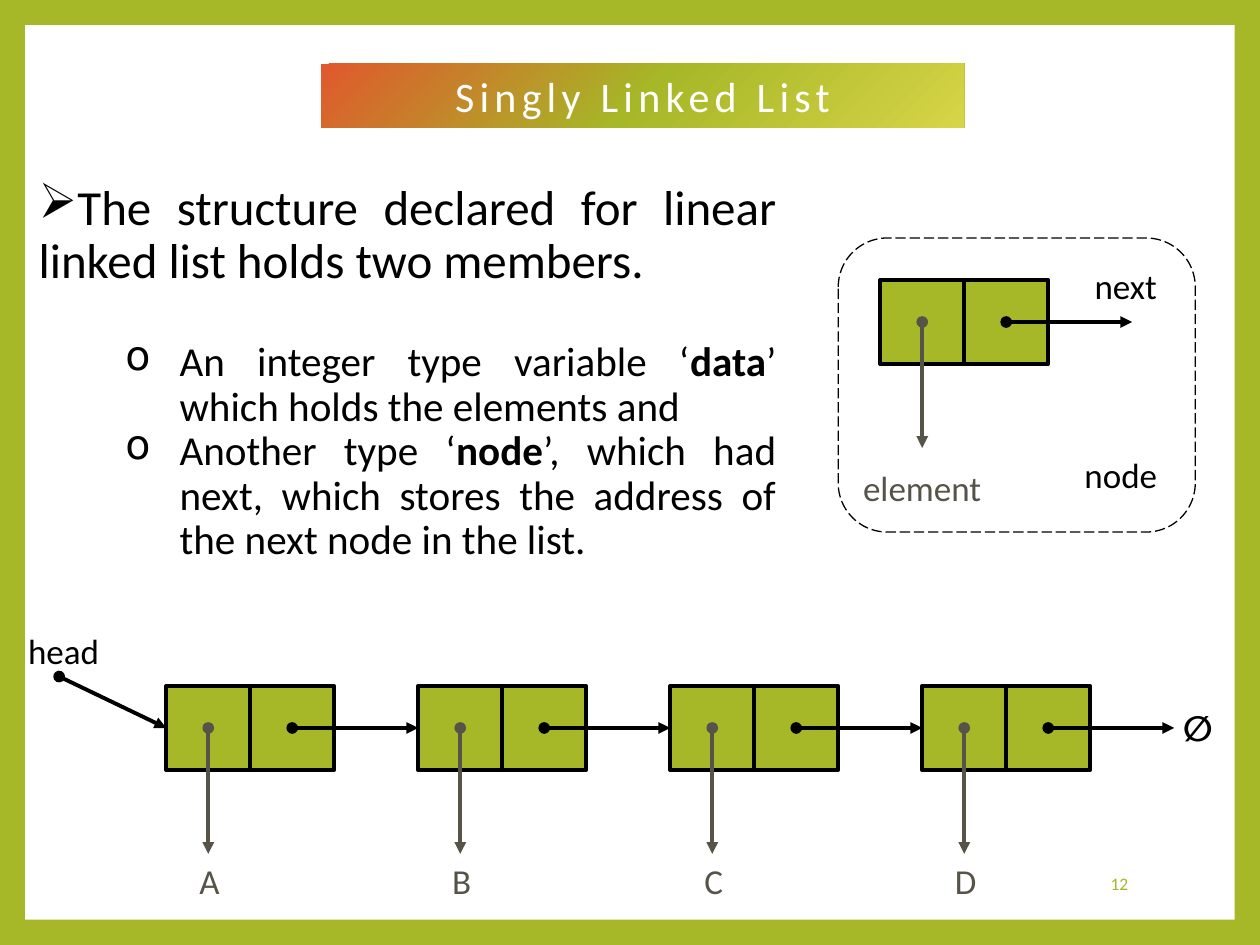
"""Build the slide on singly linked lists: text, one labelled node and a four-node chain."""
from lxml.etree import SubElement
from pptx import Presentation
from pptx.dml.color import RGBColor
from pptx.enum.dml import MSO_LINE
from pptx.enum.shapes import MSO_CONNECTOR, MSO_SHAPE
from pptx.enum.text import MSO_ANCHOR, MSO_AUTO_SIZE, PP_ALIGN
from pptx.oxml.ns import qn
from pptx.util import Pt

COLORS = {"green": "A6B727", "yellow": "D7D447", "orange": "E0582D",
          "white": "FFFFFF", "black": "000000", "grey": "565349"}
CELL, ARROW, STEP = 48, 72, 144
ROW_LEFT, ROW_TOP = 95, 392


def add_run(para, text, size, color="black", bold=False):
    """Append one formatted run to a paragraph."""
    span = para.add_run()
    span.text = text
    span.font.name = "Calibri"
    span.font.size = Pt(size)
    span.font.bold = bold
    span.font.color.rgb = RGBColor.from_string(COLORS[color])
    return span


def add_arrow(page, start, end, color="black"):
    """Draw a line with a dot at its start and an arrowhead at its end."""
    arrow = page.shapes.add_connector(
        MSO_CONNECTOR.STRAIGHT, *(Pt(value) for value in (*start, *end)))
    arrow.line.width = Pt(2.25)
    arrow.line.color.rgb = RGBColor.from_string(COLORS[color])
    line = arrow.line._get_or_add_ln()
    SubElement(line, qn("a:headEnd"), type="oval")
    SubElement(line, qn("a:tailEnd"), type="triangle")
    SubElement(arrow.element.spPr, qn("a:effectLst"))
    return arrow


deck = Presentation()
deck.slide_width, deck.slide_height = Pt(720), Pt(540)
page = deck.slides.add_slide(deck.slide_layouts[5])
page.background.fill.solid()
page.background.fill.fore_color.rgb = RGBColor.from_string(COLORS["green"])

title = page.shapes.title
title.left, title.top, title.width, title.height = Pt(183.5), Pt(36.5), Pt(367.5), Pt(36.5)
title.text_frame.auto_size = MSO_AUTO_SIZE.NONE
title.text_frame.vertical_anchor = MSO_ANCHOR.MIDDLE
title_para = title.text_frame.paragraphs[0]
title_para.alignment = PP_ALIGN.CENTER
title_span = add_run(title_para, "Singly Linked List", 24, "white")
title_span.font._element.set("spc", "300")
gradient = SubElement(title.element.spPr, qn("a:gradFill"), rotWithShape="1")
stops = SubElement(gradient, qn("a:gsLst"))
for position, color in ((0, "yellow"), (50, "green"), (100, "orange")):
    stop = SubElement(stops, qn("a:gs"), pos=str(position * 1000))
    SubElement(stop, qn("a:srgbClr"), val=COLORS[color])
focus = SubElement(gradient, qn("a:path"), path="circle")
SubElement(focus, qn("a:fillToRect"), l="100000", t="100000")

sheet = page.shapes.add_shape(MSO_SHAPE.RECTANGLE, Pt(14.4), Pt(14.4), Pt(691.2), Pt(511.2))
sheet.shadow.inherit = False
sheet.fill.solid()
sheet.fill.fore_color.rgb = RGBColor.from_string(COLORS["white"])
sheet.line.fill.background()
title.element.addprevious(sheet.element)

frame = page.shapes.add_shape(MSO_SHAPE.ROUNDED_RECTANGLE, Pt(479), Pt(136), Pt(204), Pt(168))
frame.shadow.inherit = False
frame.fill.background()
frame.line.color.rgb = RGBColor.from_string(COLORS["black"])
frame.line.width = Pt(0.75)
frame.line.dash_style = MSO_LINE.LONG_DASH

body = page.shapes.add_textbox(Pt(15), Pt(101), Pt(435.8), Pt(227)).text_frame
body.word_wrap = True
body_paras = [
    ("➢", 28, 0, ["The structure declared for linear linked list holds two members."]),
    ("o", 23.5, 30, ["An integer type variable ‘", "data", "’ which holds the elements and"]),
    ("o", 23.5, 0, ["Another type ‘", "node", "’, which had next, which stores the address "
                    "of the next node in the list."]),
]
for index, (bullet, size, gap, texts) in enumerate(body_paras):
    para = body.add_paragraph() if index else body.paragraphs[0]
    para.alignment = PP_ALIGN.JUSTIFY
    para.line_spacing = 0.9
    para.space_before = Pt(gap)
    properties = para._p.get_or_add_pPr()
    if index:
        para.level = 4
        properties.set("marL", str(Pt(80.6)))
        properties.set("indent", str(Pt(-31)))
    SubElement(properties, qn("a:buChar"), char=bullet)
    for order, text in enumerate(texts):
        add_run(para, text, size, bold=order == 1)

nodes = [(503, 160)] + [(ROW_LEFT + STEP * index, ROW_TOP) for index in range(4)]
data_cells = []
for left, top in nodes:
    for column in range(2):
        cell = page.shapes.add_shape(
            MSO_SHAPE.RECTANGLE, Pt(left + CELL * column), Pt(top), Pt(CELL), Pt(CELL))
        cell.shadow.inherit = False
        cell.fill.solid()
        cell.fill.fore_color.rgb = RGBColor.from_string(COLORS["green"])
        cell.line.color.rgb = RGBColor.from_string(COLORS["black"])
        cell.line.width = Pt(2.25)
        if column == 0:
            data_cells.append(cell)

for index, (left, top) in enumerate(nodes):
    x, y = left + CELL / 2, top + CELL / 2
    add_arrow(page, (x, y), (x, y + ARROW), "grey")
    link = add_arrow(page, (x + CELL, y), (x + CELL + ARROW, y))
    if 0 < index < len(nodes) - 1:
        link.end_connect(data_cells[index + 1], 1)
head_arrow = add_arrow(page, (33.8, 386.6), (ROW_LEFT, ROW_TOP + CELL / 2))
head_arrow.end_connect(data_cells[1], 1)

labels = [
    ("next", 617, 147.6, 52.6, "black", False),
    ("element", 483.8, 262.8, 86.4, "grey", False),
    ("node", 611.3, 255.6, 58.3, "black", False),
    ("head", 7.2, 356.4, 58.3, "black", False),
    ("∅", 668.9, 400.3, 31, "black", True),
]
labels += [(letter, 106.5 + STEP * index, 487.4, 26.6, "grey", False)
           for index, letter in enumerate("ABCD")]
for text, left, top, width, color, bold in labels:
    label = page.shapes.add_textbox(Pt(left), Pt(top), Pt(width), Pt(31)).text_frame
    label.word_wrap = False
    label.auto_size = MSO_AUTO_SIZE.SHAPE_TO_FIT_TEXT
    label.paragraphs[0].alignment = PP_ALIGN.CENTER
    add_run(label.paragraphs[0], text, 20, color, bold)

number = page.shapes.add_textbox(Pt(551), Pt(490.3), Pt(100.8), Pt(28.8)).text_frame
number.word_wrap = True
number.vertical_anchor = MSO_ANCHOR.MIDDLE
number.paragraphs[0].alignment = PP_ALIGN.RIGHT
add_run(number.paragraphs[0], "12", 10, "green")

deck.save("out.pptx")
